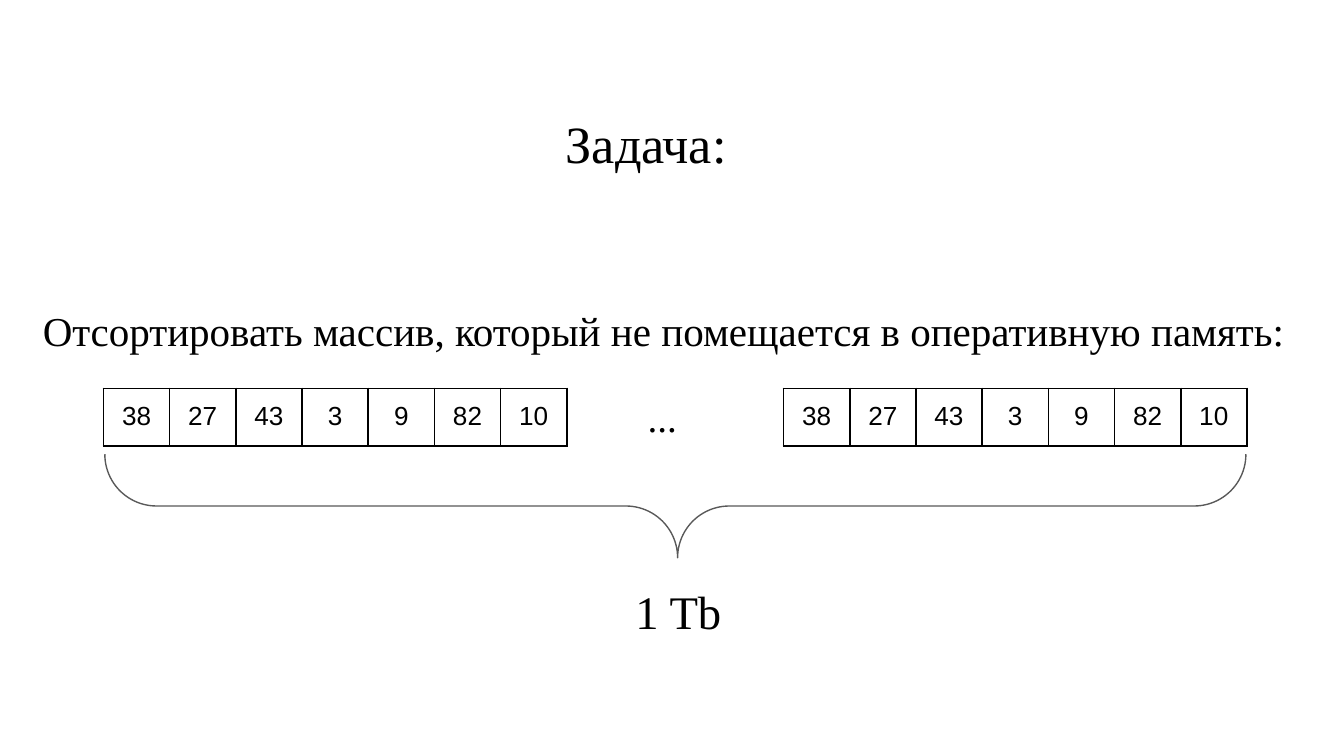
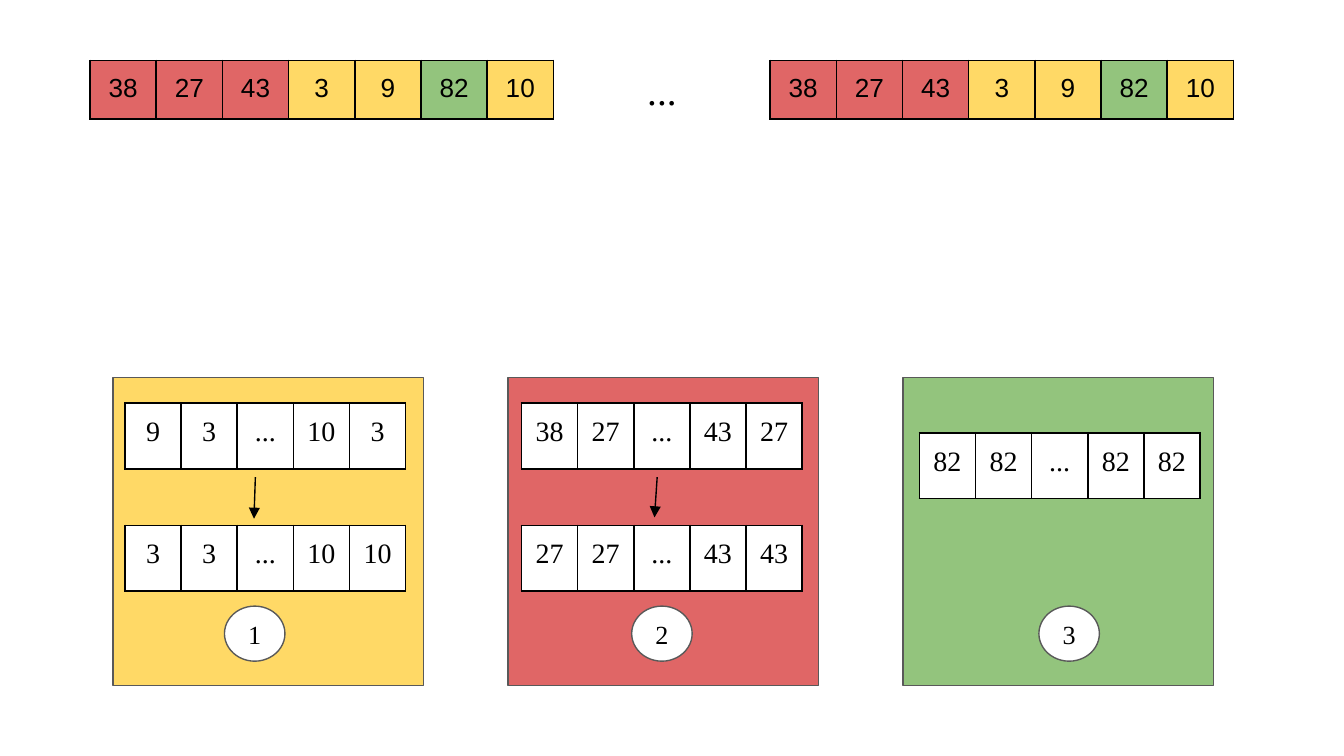
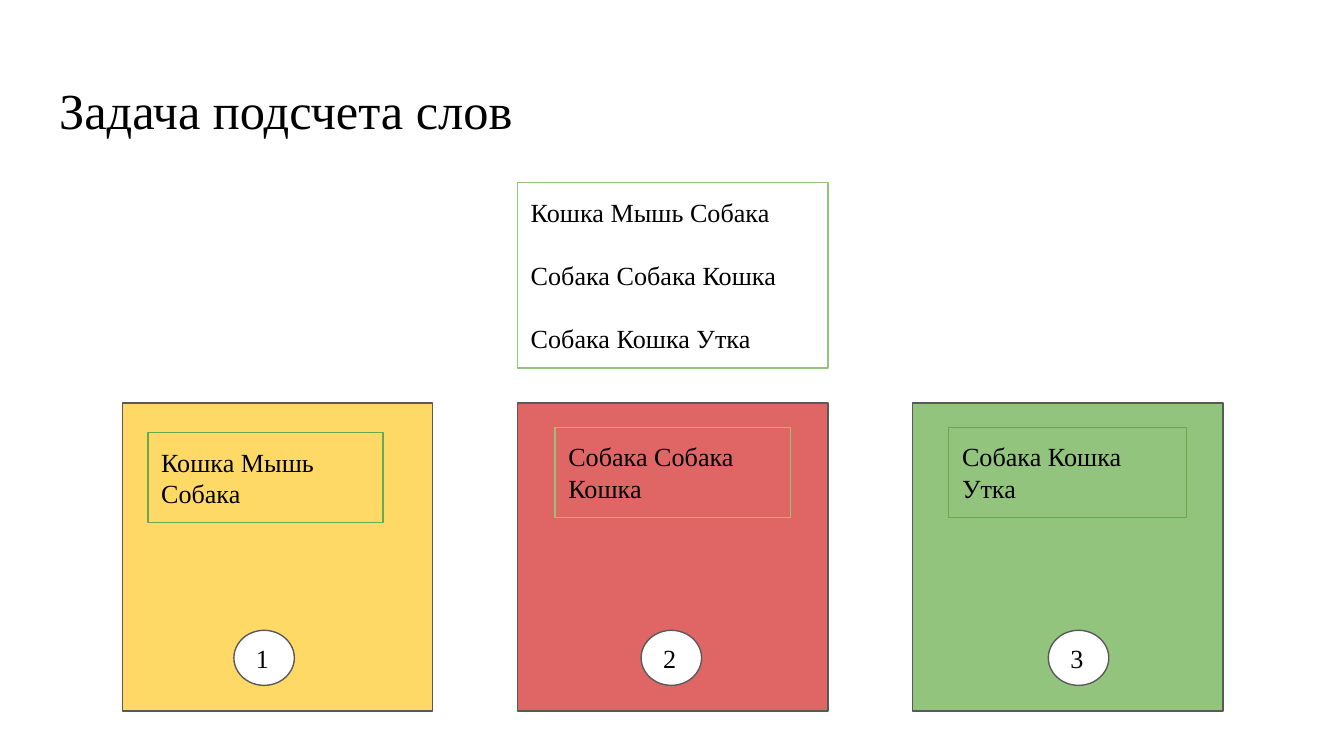
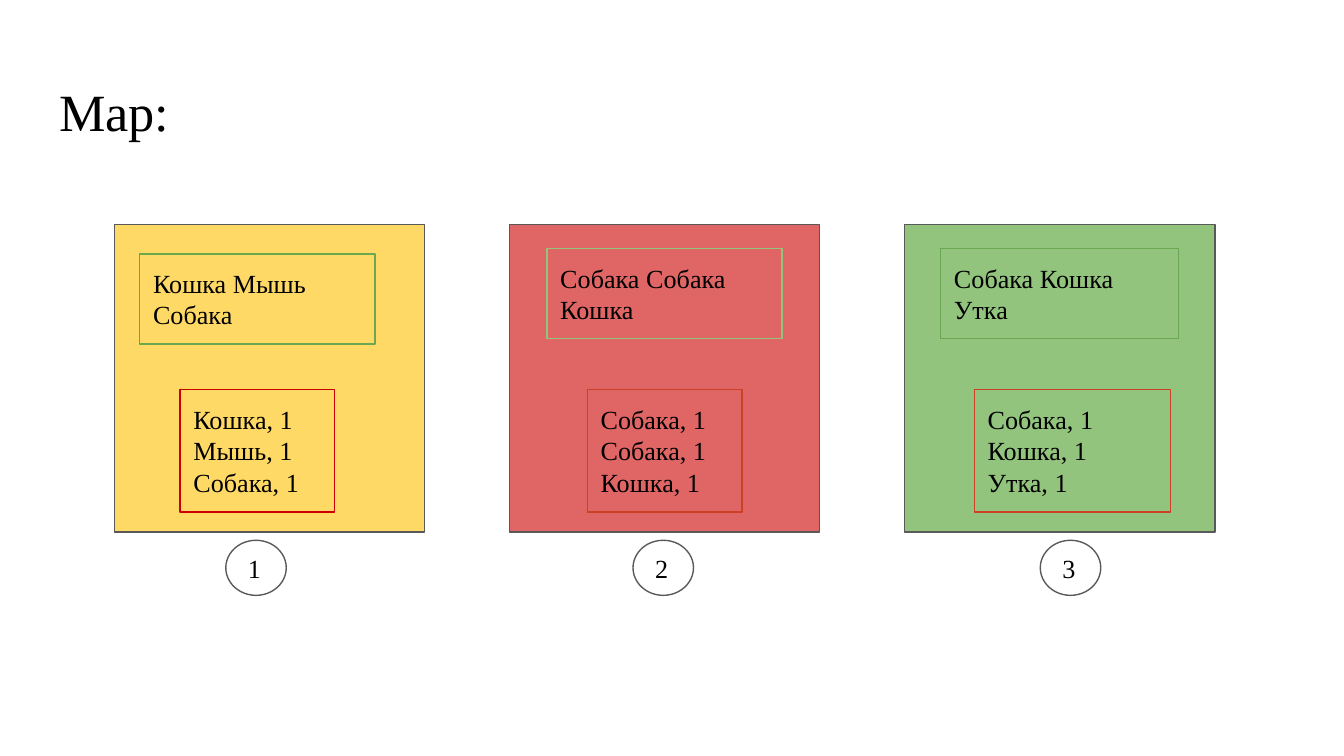
from dataclasses import dataclass

from lxml import etree
from pptx import Presentation
from pptx import util as u
from pptx.dml import color
from pptx.enum import shapes, text
from pptx.oxml import ns


@dataclass(frozen=True)
class Theme:
    serif: str = "Times New Roman"
    sans: str = "Arial"
    ink: str = "000000"
    paper: str = "FFFFFF"
    outline: str = "595959"
    yellow: str = "FFD966"
    red: str = "E06666"
    green: str = "93C47D"
    dark_green: str = "6AA84F"
    dark_red: str = "CC0000"
    rust: str = "CC4125"
    title: int = 28
    long_title: int = 27
    result: int = 25
    lead: int = 22
    dots: int = 21
    bucket: int = 15
    body: int = 14
    line: float = 0.75
    cell_line: float = 1
    blank_line: float = 16.9


T = Theme()
CENTER = text.PP_ALIGN.CENTER
MIDDLE = text.MSO_ANCHOR.MIDDLE
GROW = text.MSO_AUTO_SIZE.SHAPE_TO_FIT_TEXT
RECT = shapes.MSO_SHAPE.RECTANGLE

ARRAY = ["38", "27", "43", "3", "9", "82", "10"]
ARRAY_COLORS = [T.red, T.red, T.red, T.yellow, T.yellow, T.green, T.yellow]
ARRAY_STEP = 5.06
ARRAY_SIZE = (3.45, 0.43)

PANEL_COLORS = [T.yellow, T.red, T.green]
PANEL_SIZE = (2.31, 2.29)
PANEL_STEP = 2.94
BADGE_SIZE = (0.45, 0.41)
BADGE_INSET = 0.83
BADGE_STEP = 3.03

BUCKETS = [
    (0.09, 0.19, [["9", "3", "...", "10", "3"], ["3", "3", "...", "10", "10"]]),
    (0.10, 0.19, [["38", "27", "...", "43", "27"], ["27", "27", "...", "43", "43"]]),
    (0.12, 0.41, [["82", "82", "...", "82", "82"]]),
]
BUCKET_SIZE = (2.09, 0.49)
SORTED_DROP = 0.91
SORT_ARROWS = [(1.9, 3.55, 1.89, 3.86), (4.89, 3.55, 4.87, 3.85)]

DOCUMENT = ["Кошка Мышь Собака", "Собака Собака Кошка", "Собака Кошка Утка"]
WORD_BOXES = [
    (0.19, 0.22, 1.75, T.dark_green),
    (0.28, 0.18, 1.75, T.green),
    (0.27, 0.18, 1.77, T.dark_green),
]
PAIRS = [
    (0.49, 1.15, T.dark_red, ["Кошка, 1", "Мышь, 1", "Собака, 1"]),
    (0.58, 1.15, T.rust, ["Собака, 1", "Собака, 1", "Кошка, 1"]),
    (0.52, 1.46, T.rust, ["Собака, 1", "Кошка, 1", "Утка, 1"]),
]
PAIRS_DROP = 1.23

WIDE_TITLE = (0.34, 0.49, 9.32, 0.63)


def inches(values):
    return [u.Inches(v) for v in values]


def rgb(value):
    return color.RGBColor.from_string(value)


def write(frame, lines, size=T.body, font=T.serif, align=text.PP_ALIGN.LEFT,
          anchor=text.MSO_ANCHOR.TOP, fit=text.MSO_AUTO_SIZE.NONE,
          spacing=None, gap=0):
    frame.word_wrap = True
    frame.auto_size = fit
    frame.vertical_anchor = anchor
    frame.margin_left = frame.margin_right = u.Inches(0.1)
    frame.margin_top = frame.margin_bottom = u.Inches(0.1)
    for i, line in enumerate([lines] if isinstance(lines, str) else lines):
        paragraph = frame.paragraphs[0] if i == 0 else frame.add_paragraph()
        paragraph.alignment = align
        paragraph.line_spacing = spacing
        paragraph.space_before = u.Pt(gap if i else 0)
        run = paragraph.add_run()
        run.text = line
        run.font.size = u.Pt(size)
        run.font.name = font
        run.font.color.rgb = rgb(T.ink)


def add_title(slide, words, at, size=T.title, **style):
    title = slide.shapes.title
    title.left, title.top, title.width, title.height = inches(at)
    write(title.text_frame, words, size=size, **style)


def add_label(slide, words, at, **style):
    label = slide.shapes.add_textbox(*inches(at))
    write(label.text_frame, words, fit=GROW, **style)


def add_figure(slide, preset, at, fill=None, line=T.outline):
    figure = slide.shapes.add_shape(preset, *inches(at))
    figure.shadow.inherit = False
    if fill:
        figure.fill.solid()
        figure.fill.fore_color.rgb = rgb(fill)
    else:
        figure.fill.background()
    figure.line.color.rgb = rgb(line)
    figure.line.width = u.Pt(T.line)
    return figure


def add_frame(slide, words, at, line, **style):
    frame = add_figure(slide, RECT, at, line=line)
    write(frame.text_frame, words, fit=GROW, **style)


def border(cell):
    props = cell._tc.get_or_add_tcPr()
    for i, side in enumerate(("lnL", "lnR", "lnT", "lnB")):
        edge = etree.Element(ns.qn(f"a:{side}"), w=str(u.Pt(T.cell_line)))
        fill = etree.SubElement(edge, ns.qn("a:solidFill"))
        etree.SubElement(fill, ns.qn("a:srgbClr"), val=T.ink)
        props.insert(i, edge)


def add_row(slide, values, at, fills=None, **style):
    table = slide.shapes.add_table(1, len(values), *inches(at)).table
    table.first_row = table.horz_banding = False
    for i, value in enumerate(values):
        table.columns[i].width = u.Inches(at[2] / len(values))
        cell = table.cell(0, i)
        if fills:
            cell.fill.solid()
            cell.fill.fore_color.rgb = rgb(fills[i])
        else:
            cell.fill.background()
        border(cell)
        cell.margin_left = cell.margin_right = u.Inches(0.1)
        cell.margin_top = cell.margin_bottom = u.Inches(0.1)
        write_cell(cell, value, **style)


def write_cell(cell, value, size, font):
    paragraph = cell.text_frame.paragraphs[0]
    paragraph.alignment = CENTER
    run = paragraph.add_run()
    run.text = value
    run.font.size = u.Pt(size)
    run.font.name = font
    run.font.color.rgb = rgb(T.ink)


def add_arrays(slide, left, top, fills=None):
    for i in range(2):
        add_row(slide, ARRAY, (left + i * ARRAY_STEP, top, *ARRAY_SIZE), fills,
                size=T.body, font=T.sans)


def add_arrow(slide, points):
    arrow = slide.shapes.add_connector(shapes.MSO_CONNECTOR.STRAIGHT, *inches(points))
    arrow.line.color.rgb = rgb(T.ink)
    arrow.line.width = u.Pt(T.line)
    etree.SubElement(arrow.line._get_or_add_ln(), ns.qn("a:tailEnd"), type="triangle")
    etree.SubElement(arrow._element.spPr, ns.qn("a:effectLst"))


def add_panels(slide, left, top, badge_drop, align=text.PP_ALIGN.LEFT):
    corners = [left + i * PANEL_STEP for i in range(len(PANEL_COLORS))]
    for x, fill in zip(corners, PANEL_COLORS):
        add_figure(slide, RECT, (x, top, *PANEL_SIZE), fill)
    for i in range(len(PANEL_COLORS)):
        x = left + BADGE_INSET + i * BADGE_STEP
        badge = add_figure(slide, shapes.MSO_SHAPE.OVAL,
                           (x, top + badge_drop, *BADGE_SIZE), T.paper)
        write(badge.text_frame, str(i + 1), align=align, anchor=MIDDLE)
    return corners


def add_word_boxes(slide, corners, top):
    for x, words, (dx, dy, width, line) in zip(corners, DOCUMENT, WORD_BOXES):
        add_frame(slide, words, (x + dx, top + dy, width, 0.67), line)


def build_task(slide):
    add_title(slide, "Задача:", (4.11, 0.66, 1.47, 0.63), spacing=1.15)
    add_arrays(slide, 0.77, 2.89)
    add_label(slide, "Отсортировать массив, который не помещается в оперативную память:",
              (0.22, 2.17, 9.55, 0.57), size=T.lead)
    add_label(slide, "...", (4.72, 2.83, 0.61, 0.56), size=T.dots)
    brace = add_figure(slide, shapes.MSO_SHAPE.LEFT_BRACE, (4.64, -0.48, 0.77, 8.49))
    brace.rotation = 270
    brace.adjustments[0] = 0.5
    brace.adjustments[1] = 0.502
    add_label(slide, "1 Tb", (4.63, 4.24, 1.03, 0.62), size=T.result)


def build_buckets(slide):
    top = 2.81
    corners = add_panels(slide, 0.84, top, 1.7, align=CENTER)
    for x, (dx, dy, rows) in zip(corners, BUCKETS):
        for i, values in enumerate(rows):
            add_row(slide, values, (x + dx, top + dy + i * SORTED_DROP, *BUCKET_SIZE),
                    [T.paper] * len(values), size=T.bucket, font=T.serif)
    add_arrays(slide, 0.67, 0.45, ARRAY_COLORS)
    add_label(slide, "...", (4.62, 0.39, 0.61, 0.56), size=T.dots, align=CENTER)
    for points in SORT_ARROWS:
        add_arrow(slide, points)


def build_word_count(slide):
    top = 3
    add_title(slide, "Задача подсчета слов", WIDE_TITLE, size=T.long_title)
    corners = add_panels(slide, 0.91, top, 1.69)
    add_word_boxes(slide, corners, top)
    add_frame(slide, DOCUMENT, (corners[1], 1.36, PANEL_SIZE[0], 1.38), T.green,
              gap=T.blank_line)


def build_map(slide):
    top = 1.67
    add_title(slide, "Map:", WIDE_TITLE)
    corners = add_panels(slide, 0.85, top, 2.35)
    for x, (dx, width, line, pairs) in zip(corners, PAIRS):
        add_frame(slide, pairs, (x + dx, top + PAIRS_DROP, width, 0.91), line)
    add_word_boxes(slide, corners, top)


def main():
    deck = Presentation()
    deck.slide_width, deck.slide_height = inches((10, 5.625))
    title_only, blank = deck.slide_layouts[5], deck.slide_layouts[6]
    for build, layout in ((build_task, title_only), (build_buckets, blank),
                          (build_word_count, title_only), (build_map, title_only)):
        build(deck.slides.add_slide(layout))
    deck.save("out.pptx")


if __name__ == "__main__":
    main()
